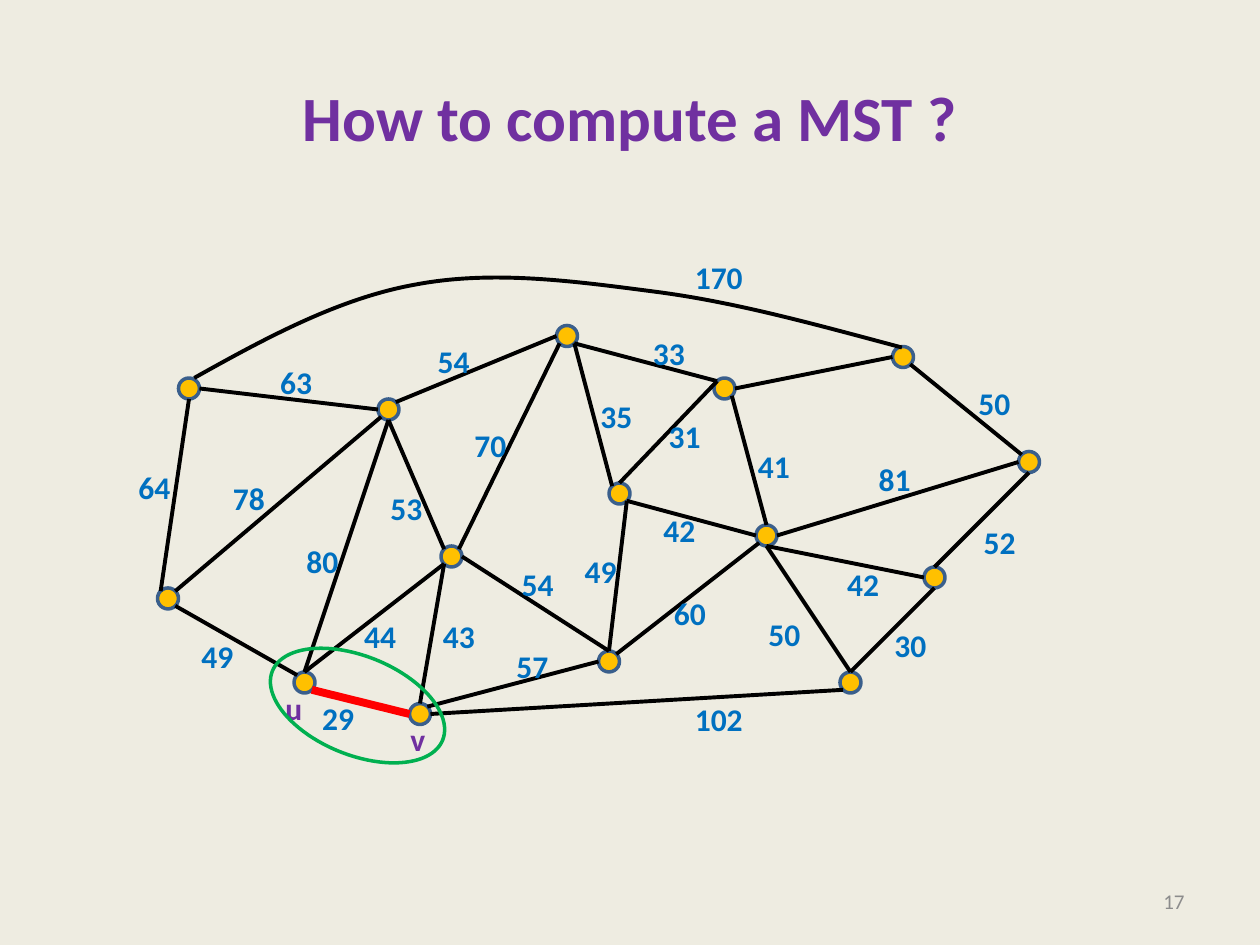
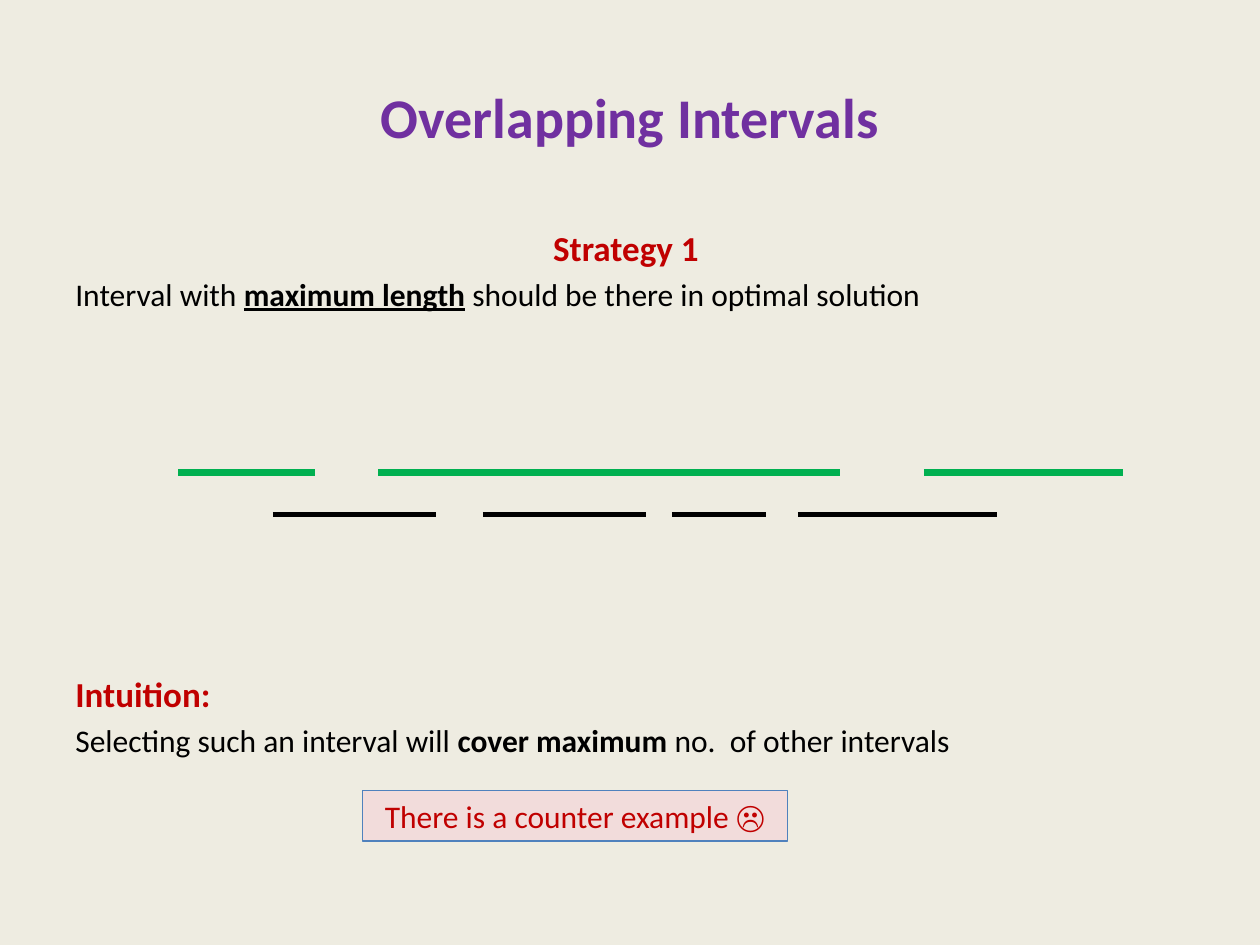
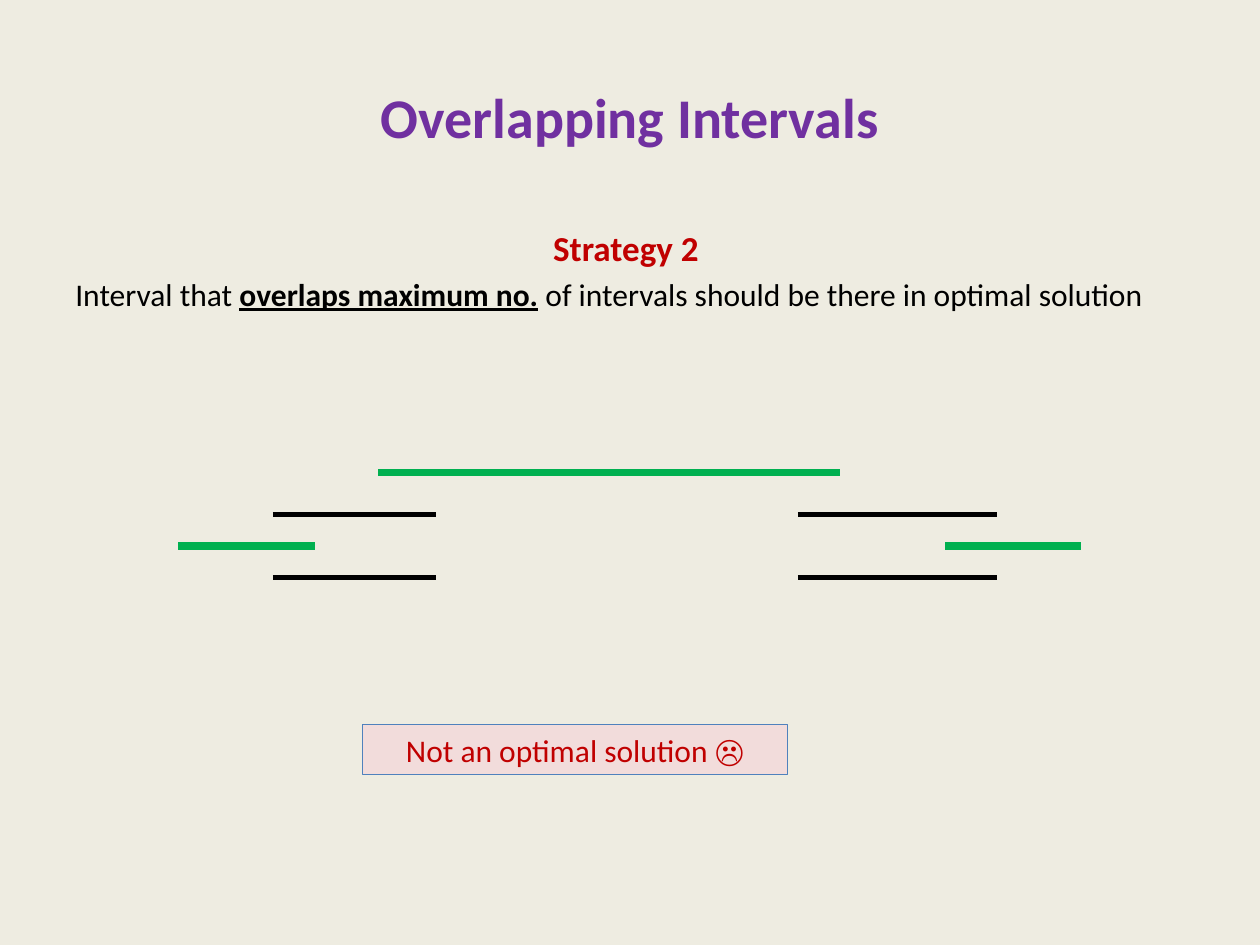
import collections

import pptx
import pptx.dml.color
import pptx.enum.shapes
import pptx.enum.text
import pptx.oxml.ns
import pptx.oxml.xmlchemy
import pptx.util

RGB = pptx.dml.color.RGBColor
SHAPES = pptx.enum.shapes.MSO_SHAPE
ALIGN = pptx.enum.text.PP_ALIGN
ANCHOR = pptx.enum.text.MSO_ANCHOR
AUTO_SIZE = pptx.enum.text.MSO_AUTO_SIZE
qn = pptx.oxml.ns.qn
new_element = pptx.oxml.xmlchemy.OxmlElement

CREAM = RGB(0xEE, 0xEC, 0xE1)
PURPLE = RGB(0x70, 0x30, 0xA0)
BLACK = RGB(0, 0, 0)
GRAY = RGB(0x8C, 0x8C, 0x8C)
BLUE = RGB(0x00, 0x70, 0xC0)
GOLD = RGB(0xFF, 0xC0, 0x00)
NODE_EDGE = RGB(0x3A, 0x5F, 0x8C)
RED = RGB(0xFF, 0, 0)
DARK_RED = RGB(0xC0, 0, 0)
GREEN = RGB(0x00, 0xB0, 0x50)
PINK = RGB(0xF2, 0xDC, 0xDB)
VERDICT_EDGE = RGB(0x4F, 0x81, 0xBD)

FONT = "Calibri"
EMU_PER_PX = pptx.util.Inches(1) // 120

Box = collections.namedtuple("Box", "left top width height")
Part = collections.namedtuple("Part", "text bold underline", defaults=(False, False))

TITLE_BOX = Box(60, 36, 1080, 150)
NUMBER_BOX = Box(860, 834, 280, 48)
GRAPH_BOX = Box(120, 240, 960, 520)
STRATEGY_BOX = Box(60, 210, 1080, 110)
INTUITION_BOX = Box(60, 635, 1080, 110)
INTERVALS_BOX = Box(170, 450, 900, 100)

NODE_RADIUS = 10
DIAGONAL = 7
SITES = {
    "N": (0, -NODE_RADIUS), "S": (0, NODE_RADIUS),
    "W": (-NODE_RADIUS, 0), "E": (NODE_RADIUS, 0),
    "NW": (-DIAGONAL, -DIAGONAL), "NE": (DIAGONAL, -DIAGONAL),
    "SW": (-DIAGONAL, DIAGONAL), "SE": (DIAGONAL, DIAGONAL),
}
# Node centres inside the graph box
NODES = {
    "a": (60, 130), "b": (250, 150), "c": (40, 330), "d": (310, 290),
    "e": (420, 80), "u": (170, 410), "f": (570, 130), "g": (610, 270),
    "h": (460, 390), "i": (770, 310), "j": (690, 410), "v": (280, 440),
    "k": (470, 230), "l": (740, 100), "m": (860, 200),
}
# Start node and site, end node and site, weight, place of the weight
EDGES = [
    ("a", "E", "b", "W", "63", (135, 100)),
    ("a", "S", "c", "NW", "64", (0, 200)),
    ("b", "S", "d", "NW", "53", (240, 220)),
    ("d", "SW", "u", "N", "44", (215, 342)),
    ("e", "SW", "d", "NE", "70", (320, 160)),
    ("f", "NW", "k", "N", "31", (505, 151)),
    ("e", "SE", "f", "NW", "33", (490, 72)),
    ("d", "E", "h", "N", "54", (365, 292)),
    ("d", "SW", "v", "N", "43", (290, 342)),
    ("b", "NE", "e", "W", "54", (285, 80)),
    ("f", "E", "l", "W", None, None),
    ("l", "SE", "m", "NW", "50", (800, 120)),
    ("f", "SE", "g", "N", "41", (590, 180)),
    ("m", "W", "g", "E", "81", (705, 192)),
    ("i", "W", "g", "S", "42", (675, 292)),
    ("j", "N", "g", "S", "50", (600, 340)),
    ("h", "N", "k", "SE", "49", (425, 280)),
    ("k", "SE", "g", "W", "42", (500, 241)),
    ("v", "E", "j", "SW", "102", (530, 421)),
    ("c", "SE", "u", "NW", "49", (60, 361)),
    ("h", "W", "v", "NE", "57", (360, 370)),
    ("b", "SW", "c", "NE", "78", (90, 210)),
    ("b", "S", "u", "N", "80", (160, 270)),
    ("e", "SE", "k", "NW", "35", (440, 132)),
    ("g", "SW", "h", "NE", "60", (510, 320)),
    ("m", "S", "i", "N", "52", (805, 252)),
    ("j", "N", "i", "S", "30", (720, 350)),
    ("v", "W", "u", "SE", "29", (175, 420)),
]
LIGHTEST_EDGE = ("v", "u")
LONG_EDGE_CURVE = [(65, 120), (133, 82), (203, 44), (276, 31), (350, 17),
                   (428, 28), (505, 38), (582, 48), (660, 70), (739, 91)]
LONG_EDGE_WEIGHT = ("170", (530, 0))

# Start, end and height of each interval inside the intervals box
LONGEST_CHOSEN = [(0, 130, 0), (190, 630, 0), (710, 900, 0)]
LONGEST_OTHERS = [(90, 245, 40), (290, 445, 40), (470, 560, 40), (590, 780, 40)]
OVERLAP_CHOSEN = [(190, 630, 0), (0, 130, 70), (730, 860, 70)]
OVERLAP_OTHERS = [(90, 245, 40), (590, 780, 40), (90, 245, 100), (590, 780, 100)]


def px(length):
    return int(length * EMU_PER_PX)


def style_run(run, size, color, bold=False, underline=False):
    font = run.font
    font.name, font.size = FONT, pptx.util.Pt(size)
    font.color.rgb = color
    font.bold, font.underline = bold, underline


def add_text(slide, box, text, size, color, bold=False, align=ALIGN.LEFT,
             anchor=ANCHOR.TOP, wrap=True):
    frame = slide.shapes.add_textbox(*map(px, box)).text_frame
    frame.word_wrap = wrap
    frame.vertical_anchor = anchor
    frame.text = text
    frame.paragraphs[0].alignment = align
    style_run(frame.paragraphs[0].runs[0], size, color, bold)
    return frame


def add_shape(slide, kind, box, fill, line, width):
    shape = slide.shapes.add_shape(kind, *map(px, box))
    shape.shadow.inherit = False
    if fill is None:
        shape.fill.background()
    else:
        shape.fill.solid()
        shape.fill.fore_color.rgb = fill
    shape.line.color.rgb = line
    shape.line.width = pptx.util.Pt(width)
    return shape


def add_line(slide, start, end, color, width):
    line = slide.shapes.add_connector(
        pptx.enum.shapes.MSO_CONNECTOR.STRAIGHT, *map(px, (*start, *end)))
    line.line.color.rgb = color
    line.line.width = pptx.util.Pt(width)
    line._element.spPr.append(new_element("a:effectLst"))


def add_curve(slide, points, color, width):
    """Draw cubic curves through a start point and then three points per curve."""
    builder = slide.shapes.build_freeform(*points[0], scale=EMU_PER_PX)
    builder.add_line_segments(points[1:], close=False)
    curve = builder.convert_to_shape()
    curve.shadow.inherit = False
    curve.fill.background()
    curve.line.color.rgb = color
    curve.line.width = pptx.util.Pt(width)
    segments = list(curve._element.iter(qn("a:lnTo")))
    for first in range(0, len(segments), 3):
        bend = new_element("a:cubicBezTo")
        segments[first].addprevious(bend)
        for segment in segments[first:first + 3]:
            bend.append(segment[0])
            segment.getparent().remove(segment)


def add_titled_slide(deck, title, size):
    slide = deck.slides.add_slide(deck.slide_layouts[6])
    add_text(slide, TITLE_BOX, title, size, PURPLE, True, ALIGN.CENTER, ANCHOR.MIDDLE)
    return slide


def add_graph(slide, box):
    def place(point, offset=(0, 0)):
        return box.left + point[0] + offset[0], box.top + point[1] + offset[1]

    def add_label(text, corner, color=BLUE):
        label_box = Box(*place(corner), 24 + 16 * len(text), 48)
        frame = add_text(slide, label_box, text, 18, color, bold=True, wrap=False)
        frame.auto_size = AUTO_SIZE.SHAPE_TO_FIT_TEXT

    diameter = 2 * NODE_RADIUS
    for center in NODES.values():
        corner = place(center, (-NODE_RADIUS, -NODE_RADIUS))
        node_box = Box(*corner, diameter, diameter)
        add_shape(slide, SHAPES.OVAL, node_box, GOLD, NODE_EDGE, 2)
    for start, start_site, end, end_site, _, _ in EDGES:
        lightest = (start, end) == LIGHTEST_EDGE
        add_line(slide, place(NODES[start], SITES[start_site]),
                 place(NODES[end], SITES[end_site]),
                 RED if lightest else BLACK, 4.5 if lightest else 2.25)
    add_curve(slide, [place(point) for point in LONG_EDGE_CURVE], BLACK, 2.25)

    for *_, weight, corner in EDGES:
        if weight:
            add_label(weight, corner)
    add_label(*LONG_EDGE_WEIGHT)
    add_label("u", (140, 410), PURPLE)
    add_label("v", (259, 440), PURPLE)
    merged_pair = add_shape(slide, SHAPES.OVAL, Box(*place((133, 385)), 175, 94),
                            None, GREEN, 2)
    merged_pair.rotation = 22.1


def add_statement(slide, box, heading, parts, heading_align=ALIGN.LEFT):
    """Write a red heading with one sentence of mixed emphasis below it."""
    frame = add_text(slide, box, heading, 20, DARK_RED, True, heading_align)
    frame.paragraphs[0].space_before = pptx.util.Pt(4)
    sentence = frame.add_paragraph()
    sentence.space_before = pptx.util.Pt(3.6)
    for part in parts:
        run = sentence.add_run()
        run.text = part.text
        style_run(run, 18, BLACK, part.bold, part.underline)


def add_intervals(slide, box, chosen, others):
    for intervals, color, width in ((others, BLACK, 3), (chosen, GREEN, 4.5)):
        for start, end, height in intervals:
            y = box.top + height
            add_line(slide, (box.left + start, y), (box.left + end, y), color, width)


def add_verdict(slide, top, text):
    verdict = add_shape(slide, SHAPES.RECTANGLE, Box(345, top, 405, 48),
                        PINK, VERDICT_EDGE, 0.75)
    frame = verdict.text_frame
    frame.text = text
    frame.word_wrap = True
    frame.auto_size = AUTO_SIZE.SHAPE_TO_FIT_TEXT
    frame.paragraphs[0].alignment = ALIGN.CENTER
    style_run(frame.paragraphs[0].runs[0], 18, DARK_RED)


def add_strategy_slide(deck, heading, parts, chosen, others, verdict, verdict_top):
    slide = add_titled_slide(deck, "Overlapping Intervals", 32)
    add_statement(slide, STRATEGY_BOX, heading, parts, ALIGN.CENTER)
    add_intervals(slide, INTERVALS_BOX, chosen, others)
    add_verdict(slide, verdict_top, verdict)
    return slide


def main():
    deck = pptx.Presentation()
    deck.slide_width, deck.slide_height = px(1200), px(900)
    background = deck.slide_master.background.fill
    background.solid()
    background.fore_color.rgb = CREAM

    tree_slide = add_titled_slide(deck, "How to compute a MST ?", 36)
    add_text(tree_slide, NUMBER_BOX, "17", 12, GRAY,
             align=ALIGN.RIGHT, anchor=ANCHOR.MIDDLE)
    add_graph(tree_slide, GRAPH_BOX)

    longest_slide = add_strategy_slide(
        deck, "Strategy 1 ",
        [Part("Interval with "), Part("maximum length", True, True),
         Part(" should be there in optimal solution")],
        LONGEST_CHOSEN, LONGEST_OTHERS, "There is a counter example ☹", 753)
    add_statement(longest_slide, INTUITION_BOX, "Intuition:",
                  [Part("Selecting such an interval will "),
                   Part("cover maximum ", True),
                   Part("no.  of other intervals")])

    add_strategy_slide(
        deck, "Strategy 2 ",
        [Part("Interval that "), Part("overlaps maximum no.", True, True),
         Part(" of intervals should be there in optimal solution")],
        OVERLAP_CHOSEN, OVERLAP_OTHERS, "Not an optimal solution ☹", 690)

    deck.save("out.pptx")


if __name__ == "__main__":
    main()
